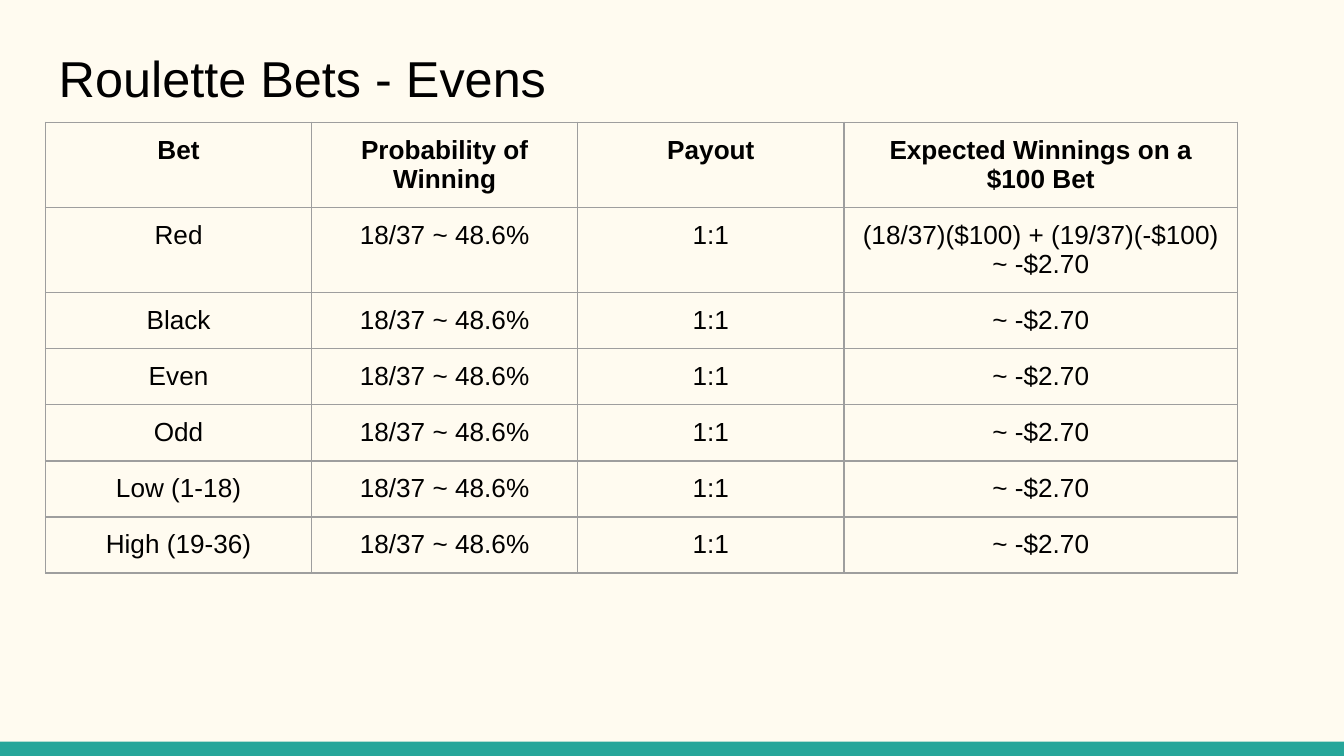
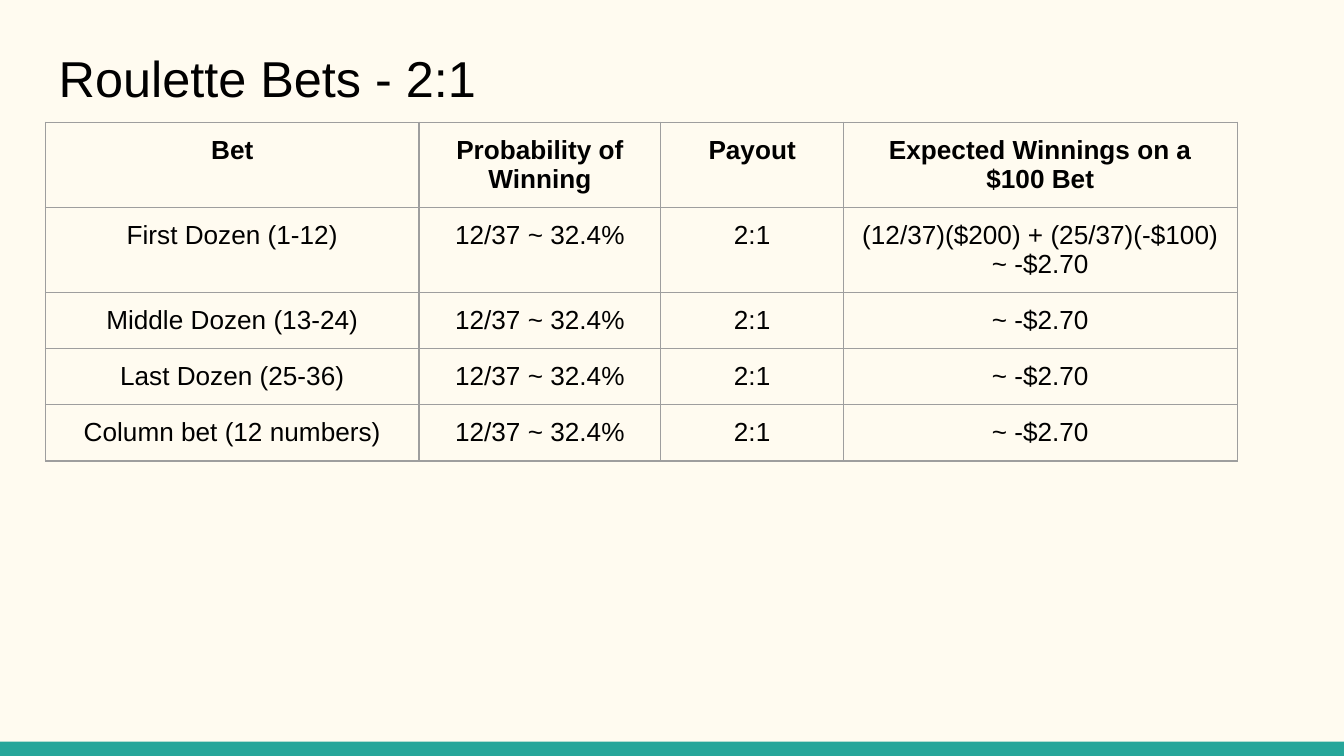
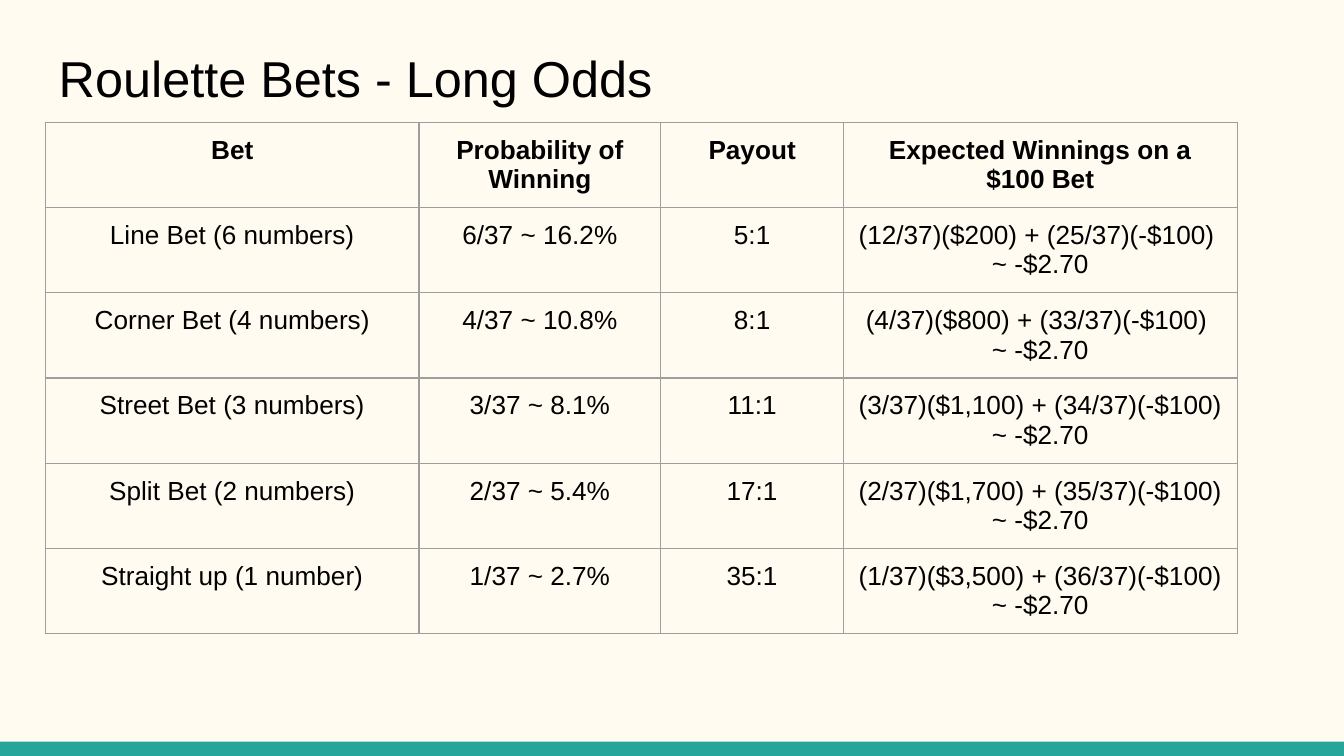
"""Build three slides of roulette bets, each with a title and a table of odds."""
from lxml.etree import SubElement
from pptx import Presentation
from pptx.dml.color import RGBColor
from pptx.enum.shapes import MSO_SHAPE
from pptx.enum.text import MSO_ANCHOR, MSO_AUTO_SIZE, PP_ALIGN
from pptx.oxml.ns import qn
from pptx.util import Cm, Pt

LOSS = "~ -$2.70"
HEADER = ("Bet", "Probability of Winning", "Payout", "Expected Winnings on a $100 Bet")
EVEN_ODDS = ("18/37 ~ 48.6%", "1:1")
DOZEN_ODDS = ("12/37 ~ 32.4%", "2:1")
EQUAL_COLUMNS = (5.03, 5.03, 5.03, 7.44)
WIDE_BET_COLUMNS = (7.06, 4.57, 3.45, 7.44)

SLIDES = [
    {
        "title": "Roulette Bets - Evens",
        "columns": EQUAL_COLUMNS,
        "bets": [
            ("Red", *EVEN_ODDS, f"(18/37)($100) + (19/37)(-$100) {LOSS}"),
            *[(bet, *EVEN_ODDS, LOSS)
              for bet in ("Black", "Even", "Odd", "Low (1-18)", "High (19-36)")],
        ],
    },
    {
        "title": "Roulette Bets - 2:1",
        "columns": WIDE_BET_COLUMNS,
        "bets": [
            ("First Dozen (1-12)", *DOZEN_ODDS, f"(12/37)($200) + (25/37)(-$100) {LOSS}"),
            *[(bet, *DOZEN_ODDS, LOSS)
              for bet in ("Middle Dozen (13-24)", "Last Dozen (25-36)",
                          "Column bet (12 numbers)")],
        ],
    },
    {
        "title": "Roulette Bets - Long Odds",
        "columns": WIDE_BET_COLUMNS,
        "bets": [
            (bet, probability, payout, f"{expectation} \n{LOSS}")
            for bet, probability, payout, expectation in (
                ("Line Bet (6 numbers)", "6/37 ~ 16.2%", "5:1",
                 "(12/37)($200) + (25/37)(-$100)"),
                ("Corner Bet (4 numbers)", "4/37 ~ 10.8%", "8:1",
                 "(4/37)($800) + (33/37)(-$100)"),
                ("Street Bet (3 numbers)", "3/37 ~ 8.1%", "11:1",
                 "(3/37)($1,100) + (34/37)(-$100)"),
                ("Split Bet (2 numbers)", "2/37 ~ 5.4%", "17:1",
                 "(2/37)($1,700) + (35/37)(-$100)"),
                ("Straight up (1 number)", "1/37 ~ 2.7%", "35:1",
                 "(1/37)($3,500) + (36/37)(-$100)"),
            )
        ],
    },
]

COLORS = {"background": "FFFBF0", "band": "26A69A", "text": "000000", "border": "9E9E9E"}
FONT = "Arial"
TITLE_SIZE, TABLE_SIZE = Pt(27), Pt(14)
SLIDE_WIDTH, SLIDE_HEIGHT = Cm(25.4), Cm(14.29)
BAND_HEIGHT = Cm(0.27)
LEFT, TITLE_TOP, TITLE_WIDTH, TITLE_HEIGHT = Cm(0.86), Cm(0.61), Cm(23.67), Cm(1.7)
TABLE_TOP = TITLE_TOP + TITLE_HEIGHT
ROW_HEIGHT = Cm(1.06)
INSET = Cm(0.25)
BORDER_WIDTH = Pt(0.75)


def color(name):
    return RGBColor.from_string(COLORS[name])


def set_insets(box):
    box.margin_left = box.margin_right = box.margin_top = box.margin_bottom = INSET


def format_text(text_frame, size, alignment, bold=False):
    for paragraph in text_frame.paragraphs:
        paragraph.alignment = alignment
        for run in paragraph.runs:
            run.font.name = FONT
            run.font.size = size
            run.font.bold = bold
            run.font.color.rgb = color("text")


def set_borders(cell):
    properties = cell._tc.get_or_add_tcPr()
    for side in ("lnL", "lnR", "lnT", "lnB"):
        line = SubElement(properties, qn(f"a:{side}"), w=str(BORDER_WIDTH))
        fill = SubElement(line, qn("a:solidFill"))
        SubElement(fill, qn("a:srgbClr"), val=COLORS["border"])


def style_master(master, slide):
    background = master.background.fill
    background.solid()
    background.fore_color.rgb = color("background")
    band = slide.shapes.add_shape(
        MSO_SHAPE.RECTANGLE, 0, SLIDE_HEIGHT - BAND_HEIGHT, SLIDE_WIDTH, BAND_HEIGHT)
    band.shadow.inherit = False
    band.fill.solid()
    band.fill.fore_color.rgb = color("band")
    band.line.fill.background()
    band.element.nvSpPr.cNvPr.set("id", "20")
    master.shapes.element.insert(2, band.element)


def add_title(slide, text):
    title = slide.shapes.title
    title.left, title.top, title.width, title.height = LEFT, TITLE_TOP, TITLE_WIDTH, TITLE_HEIGHT
    text_frame = title.text_frame
    text_frame.text = text
    text_frame.auto_size = MSO_AUTO_SIZE.NONE
    text_frame.vertical_anchor = MSO_ANCHOR.MIDDLE
    set_insets(text_frame)
    format_text(text_frame, TITLE_SIZE, PP_ALIGN.LEFT)


def add_bet_table(slide, columns, bets):
    rows = [HEADER, *bets]
    table = slide.shapes.add_table(
        len(rows), len(columns), LEFT, TABLE_TOP,
        Cm(sum(columns)), ROW_HEIGHT * len(rows)).table
    table.first_row = table.horz_banding = False
    for column, width in zip(table.columns, columns):
        column.width = Cm(width)
    for row_index, row in enumerate(rows):
        table.rows[row_index].height = ROW_HEIGHT
        for column_index, text in enumerate(row):
            cell = table.cell(row_index, column_index)
            cell.text_frame.text = text
            set_insets(cell)
            set_borders(cell)
            cell.fill.background()
            format_text(cell.text_frame, TABLE_SIZE, PP_ALIGN.CENTER, bold=row_index == 0)


def main():
    presentation = Presentation()
    presentation.slide_width, presentation.slide_height = SLIDE_WIDTH, SLIDE_HEIGHT
    title_only = presentation.slide_layouts.get_by_name("Title Only")
    for content in SLIDES:
        slide = presentation.slides.add_slide(title_only)
        add_title(slide, content["title"])
        add_bet_table(slide, content["columns"], content["bets"])
    style_master(presentation.slide_master, slide)
    presentation.save("out.pptx")


if __name__ == "__main__":
    main()
